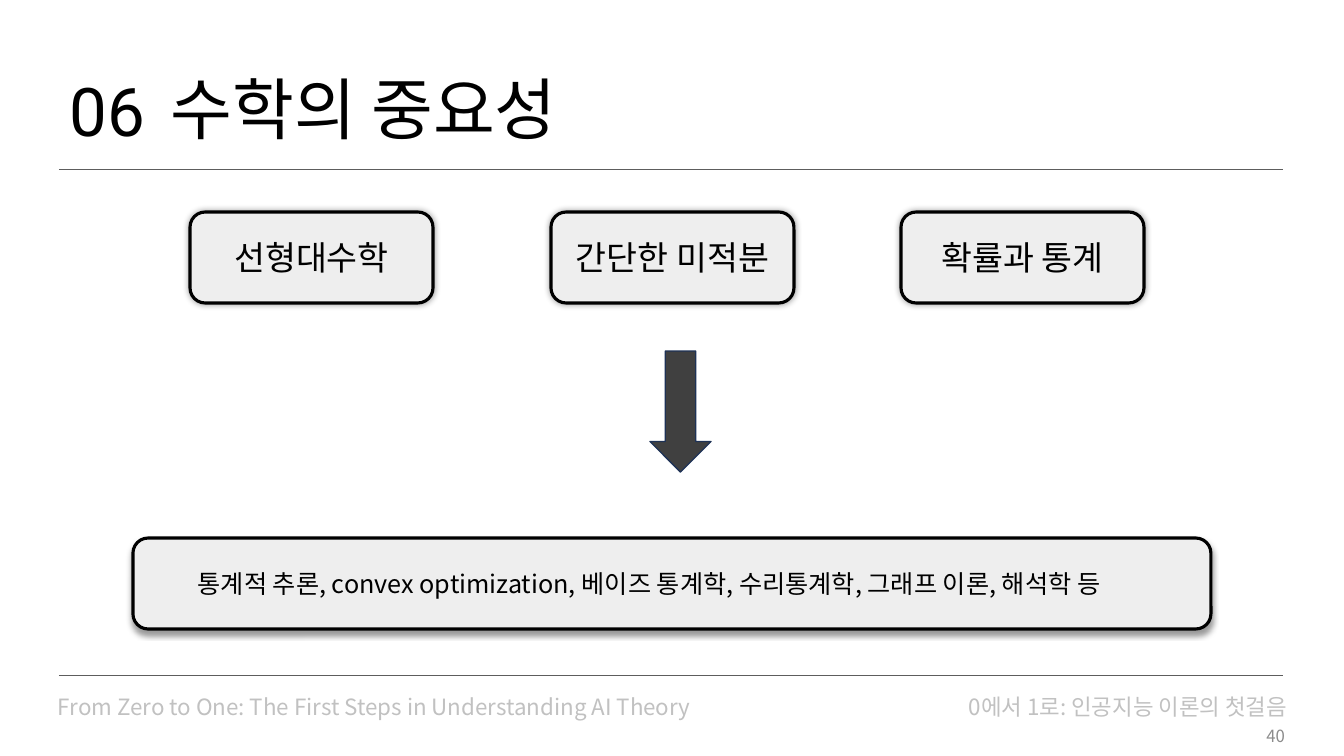
from dataclasses import dataclass

from lxml.etree import SubElement
from pptx import Presentation
from pptx.dml.color import RGBColor
from pptx.enum.shapes import MSO_CONNECTOR, MSO_SHAPE
from pptx.enum.text import MSO_ANCHOR as ANCHOR, PP_ALIGN as ALIGN
from pptx.oxml.ns import qn
from pptx.util import Emu, Pt

PX = 914400 / 100.8


@dataclass(frozen=True)
class Theme:
    font: str = "Noto Sans CJK KR"
    number_font: str = "Roboto"
    ink: str = "000000"
    rule: str = "5D5D5D"
    footer: str = "C1C1C1"
    page: str = "8C8C8C"
    card: str = "EEEEEE"
    arrow: str = "404040"
    arrow_edge: str = "1E3256"
    title_size: int = 48
    card_size: int = 24
    summary_size: int = 18
    footer_size: int = 16
    page_size: int = 12


THEME = Theme()


def px(*lengths):
    return [Emu(round(n * PX)) for n in lengths]


def rgb(value):
    return RGBColor.from_string(value)


def write(sp, text, size, color=THEME.ink, font=THEME.font, wrap=True, **paragraph):
    tf = sp.text_frame
    tf.word_wrap = wrap
    tf.vertical_anchor = ANCHOR.MIDDLE
    p = tf.paragraphs[0]
    for name, value in paragraph.items():
        setattr(p, name, value)
    r = p.add_run()
    r.text = text
    for name, value in {"size": Pt(size), "name": font}.items():
        setattr(r.font, name, value)
    r.font.color.rgb = rgb(color)
    # Korean glyphs take the East Asian typeface
    SubElement(r.font._element, qn("a:ea"), typeface=font)


def add_text(s, box, text, size, **style):
    write(s.shapes.add_textbox(*px(*box)), text, size, **style)


def add_rule(s, left, right, y):
    line = s.shapes.add_connector(MSO_CONNECTOR.STRAIGHT, *px(left, y, right, y))
    line.line.color.rgb = rgb(THEME.rule)
    line.line.width = Pt(0.5)
    SubElement(line._element.spPr, qn("a:effectLst"))


def add_filled(s, kind, box, fill, edge, width):
    sp = s.shapes.add_shape(kind, *px(*box))
    sp.shadow.inherit = False
    sp.fill.solid()
    sp.fill.fore_color.rgb = rgb(fill)
    sp.line.color.rgb = rgb(edge)
    sp.line.width = Pt(width)
    return sp


def add_card(s, box, blur, distance=0, angle=0):
    """Outlined rounded box with a soft shadow; blur and distance in points."""
    sp = add_filled(s, MSO_SHAPE.ROUNDED_RECTANGLE, box, THEME.card, THEME.ink, 2.25)
    effects = sp._element.spPr.find(qn("a:effectLst"))
    shadow = SubElement(effects, qn("a:outerShdw"), blurRad=str(Pt(blur)),
                        dist=str(Pt(distance)), dir=str(angle * 60000),
                        algn="ctr", rotWithShape="0")
    color = SubElement(shadow, qn("a:srgbClr"), val=THEME.ink)
    SubElement(color, qn("a:alpha"), val="40000")
    return sp


def add_header(s, box, number, title):
    x, y, w, h = box
    add_text(s, (x, y, 99, 88), number, THEME.title_size, font=THEME.number_font,
             wrap=False, alignment=ALIGN.CENTER, line_spacing=0.9)
    add_text(s, (x + 103, y, 537, 84), title, THEME.title_size, line_spacing=0.9)
    add_rule(s, x + 1, x + w, y + h)


def add_footer(s, box, left_text, right_text, page):
    x, y, w, h = box
    style = {"color": THEME.footer}
    add_rule(s, x + 1, x + w, y)
    add_text(s, (x - 10, y + 13, 707, 37), left_text, THEME.footer_size, **style)
    add_text(s, (x + w - 432, y + 13, 446, 37), right_text, THEME.footer_size,
             alignment=ALIGN.RIGHT, **style)
    add_text(s, (x + w - 290, y + h - 40, 302, 40), page, THEME.page_size,
             color=THEME.page, alignment=ALIGN.RIGHT)


def add_subjects(s, box, subjects):
    x, y, w, h = box
    for offset, subject in subjects:
        sp = add_card(s, (x + offset, y, w, h), blur=5)
        write(sp, subject, THEME.card_size, alignment=ALIGN.CENTER)


def add_arrow(s, box):
    add_filled(s, MSO_SHAPE.DOWN_ARROW, box, THEME.arrow, THEME.arrow_edge, 1)


def add_summary(s, box, text):
    sp = add_card(s, box, blur=4, distance=3, angle=90)
    write(sp, text, THEME.summary_size, alignment=ALIGN.LEFT, level=1)
    pPr = sp.text_frame.paragraphs[0]._p.get_or_add_pPr()
    pPr.set("marL", "457200")
    pPr.set("indent", "0")


def main():
    prs = Presentation()
    prs.slide_width, prs.slide_height = px(1344, 756)
    s = prs.slides.add_slide(prs.slide_layouts[6])
    add_header(s, (58, 71, 1225, 98), "06", "수학의 중요성")
    add_subjects(s, (190, 212, 243, 91),
                 [(0, "선형대수학"), (361, "간단한 미적분"), (711, "확률과 통계")])
    add_arrow(s, (650, 351, 61, 121))
    add_summary(s, (133, 538, 1078, 91),
                "통계적 추론, convex optimization, 베이즈 통계학, "
                "수리통계학, 그래프 이론, 해석학 등")
    add_footer(s, (58, 675, 1225, 81),
               "From Zero to One: The First Steps in Understanding AI Theory",
               "0에서 1로: 인공지능 이론의 첫걸음", "40")
    prs.save("out.pptx")


if __name__ == "__main__":
    main()
